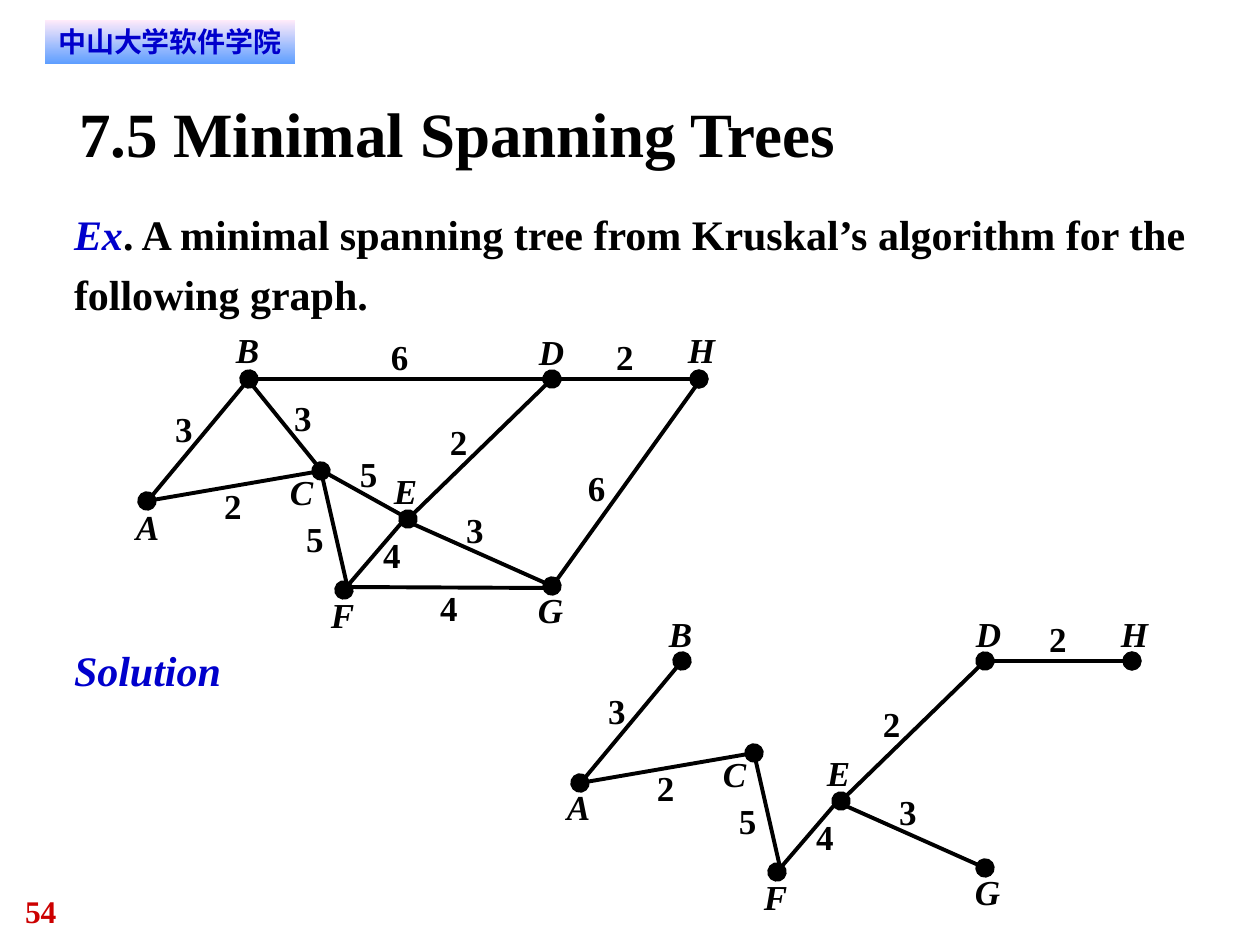
from lxml import etree
from pptx import Presentation
from pptx import util as u
from pptx.dml.color import RGBColor
from pptx.enum import shapes, text
from pptx.oxml.ns import qn

PX = 914400 / 126
COLORS = {"ink": "000000", "blue": "0000CC", "red": "CC0000",
          "pink": "FFEBFA", "sky": "5E9EFF"}
SERIF = "Times New Roman"
SANS = "DejaVu Sans"
SHIFT = (433, 282)

NODES = {"A": (136, 505, 24), "B": (236, 328, 24), "C": (290, 470, 24),
         "D": (539, 330, 25), "E": (394, 469, 24), "F": (331, 593, 24),
         "G": (538, 588, 25), "H": (688, 328, 28)}
NUDGE = {"A": (-2, -2), "B": (0, 2), "D": (4, 0), "G": (4, 0), "H": (0, 2)}

# name: start, end, dotted ends, weight, weight position
EDGES = {
    "GH": ((701, 379), (551, 588), "", "6", (588, 466)),
    "DE": ((552, 379), (408, 519), "head tail", "2", (450, 420)),
    "AB": ((249, 379), (146, 503), "head", "3", (175, 407)),
    "AC": ((147, 501), (321, 471), "head tail", "2", (224, 484)),
    "CE": ((319, 469), (407, 518), "", "5", (360, 452)),
    "CF": ((321, 471), (347, 585), "", "5", (306, 517)),
    "BC": ((249, 381), (321, 470), "", "3", (294, 396)),
    "FG": ((345, 587), (549, 588), "", "4", (440, 586)),
    "EF": ((404, 520), (344, 590), "tail", "4", (383, 533)),
    "EG": ((404, 520), (552, 586), "tail", "3", (466, 508)),
    "BD": ((249, 379), (549, 379), "", "6", (391, 335)),
    "DH": ((549, 379), (699, 379), "tail", "2", (616, 335)),
}
TREE = ["DE", "AB", "AC", "CF", "EF", "EG", "DH"]


def px(n):
    return u.Emu(round(n * PX))


def rgb(name):
    return RGBColor.from_string(COLORS[name])


def apply(item, **values):
    for key, value in values.items():
        setattr(item, key, value)


def move(point, shift):
    return point[0] + shift[0], point[1] + shift[1]


def write(frame, runs, size, face=SERIF, space=None, align=None,
          pad=(0, 0), wrap=True):
    apply(frame, margin_left=px(pad[0]), margin_right=px(pad[0]),
          margin_top=px(pad[1]), margin_bottom=px(pad[1]),
          word_wrap=wrap, vertical_anchor=text.MSO_ANCHOR.TOP)
    para = frame.paragraphs[0]
    apply(para, line_spacing=space, alignment=align)
    for words, color, slant in runs:
        run = para.add_run()
        run.text = words
        apply(run.font, name=face, size=u.Pt(size), bold=True, italic=slant)
        run.font.color.rgb = rgb(color)
        east = etree.SubElement(run.font._element, qn("a:ea"))
        east.set("typeface", face)


def label(home, box, runs, size, **style):
    shape = home.add_textbox(*map(px, box))
    write(shape.text_frame, runs, size, **style)


def mark(home, point, width, words, slant):
    label(home, (*point, width, 42), [(words, "ink", slant)], 20, wrap=False)


def edge(home, start, end, dots):
    line = home.add_connector(shapes.MSO_CONNECTOR.STRAIGHT,
                              *map(px, (*start, *end)))
    line.line.width = u.Pt(2.25)
    line.line.color.rgb = rgb("ink")
    for side in dots.split():
        tip = etree.SubElement(line.line._get_or_add_ln(), qn(f"a:{side}End"))
        for key, value in {"type": "oval", "w": "lg", "len": "lg"}.items():
            tip.set(key, value)
    etree.SubElement(line._element.spPr, qn("a:effectLst"))


def graph(slide, names, shift=(0, 0), nudge={}):
    home = slide.shapes.add_group_shape().shapes
    for name in names:
        start, end, dots, weight, spot = EDGES[name]
        edge(home, move(start, shift), move(end, shift), dots)
        mark(home, move(spot, shift), 18, weight, False)
    for name, (left, top, width) in NODES.items():
        spot = move(move((left, top), shift), nudge.get(name, (0, 0)))
        mark(home, spot, width, name, True)


def banner(slide):
    shape = slide.shapes.add_shape(shapes.MSO_SHAPE.RECTANGLE,
                                   *map(px, (45, 20, 250, 44)))
    shape.shadow.inherit = False
    shape.line.fill.background()
    shape.fill.gradient()
    shape.fill.gradient_angle = 270
    for stop, color in zip(shape.fill.gradient_stops, ("pink", "sky")):
        stop.color.rgb = rgb(color)
    write(shape.text_frame, [("中山大学软件学院", "blue", False)], 16, face=SANS,
          align=text.PP_ALIGN.CENTER, pad=(10, 5))


def main():
    deck = Presentation()
    apply(deck, slide_width=px(1260), slide_height=px(945))
    slide = deck.slides.add_slide(deck.slide_layouts[6])
    home = slide.shapes
    banner(slide)
    label(home, (79, 95, 1103, 76),
          [("7.5 Minimal Spanning Trees", "ink", False)], 36)
    label(home, (74, 198, 1128, 121),
          [("Ex", "blue", True),
           (". A minimal spanning tree from Kruskal’s algorithm "
            "for the following graph.", "ink", False)], 24, space=1.2)
    label(home, (74, 634, 209, 121), [("Solution", "blue", True)], 24,
          space=1.2)
    graph(slide, EDGES)
    graph(slide, TREE, SHIFT, NUDGE)
    label(home, (25, 892, 95, 38), [("54", "red", False)], 18)
    deck.save("out.pptx")


if __name__ == "__main__":
    main()
